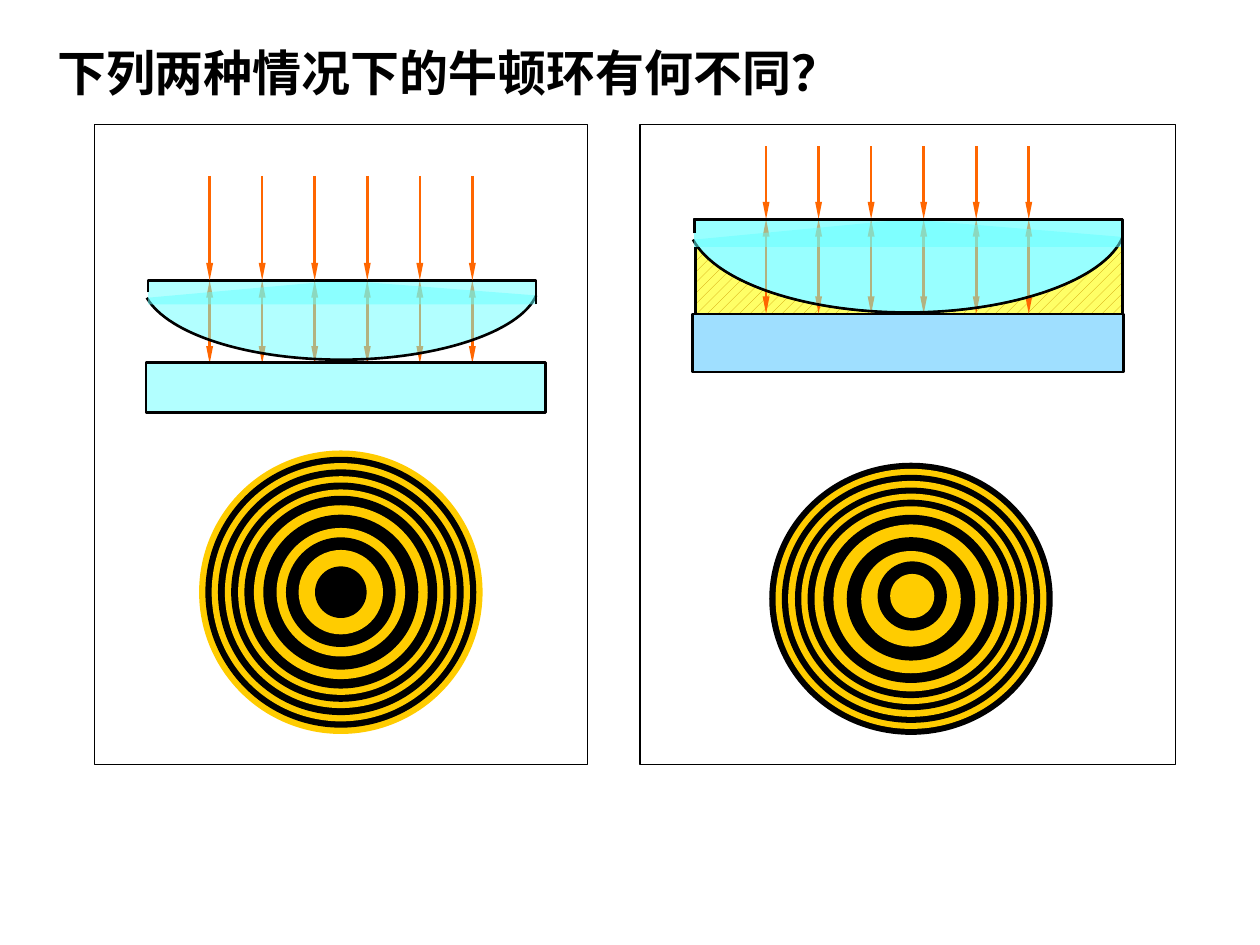
"""Builds a slide comparing Newton's rings with air and with liquid under the lens."""
from lxml import etree
from pptx import Presentation
from pptx import util as u
from pptx.dml import color
from pptx.enum import dml, shapes, text
from pptx.oxml import ns

COLORS = {
    "paper": "FFFFFF", "ink": "000000", "ray": "FF6600", "ring": "FFCC00",
    "glass": "66FFFF", "pale": "CCFFFF", "plate": "9FDFFF",
    "liquid": "FFFF66", "hatch": "CC9900",
}
LENS_CURVE = [(1, 0.19), (0.96, 0.65), (0.745, 1), (0.5, 1),
              (0.26, 1), (0.055, 0.68), (0, 0.22)]
LENS_TOP = (0.5, 0)
LENS_UNITS = 1000
RAY_COUNT = 6
RAY_GAP = 4.17


def add_command(outline, command, points):
    """Append one drawing command in lens units."""
    step = etree.SubElement(outline, ns.qn(f"a:{command}"))
    for x, y in points:
        etree.SubElement(step, ns.qn("a:pt"), x=str(round(x * LENS_UNITS)),
                         y=str(round(y * LENS_UNITS)))


class Board:
    """Holds the style and the current slide on a grid of 100 columns by 75 rows."""

    font = "Times New Roman"

    def __init__(self, deck):
        self.cell = deck.slide_width / 100
        self.slide = deck.slides.add_slide(deck.slide_layouts[6])
        self.canvas = self.slide.shapes

    def emu(self, *lengths):
        return [round(length * self.cell) for length in lengths]

    def rgb(self, name):
        return color.RGBColor.from_string(COLORS[name])

    def open_group(self):
        self.canvas = self.slide.shapes.add_group_shape().shapes

    def paint(self, shape, fill=None, width=0, alpha=None):
        shape.shadow.inherit = False
        if fill:
            shape.fill.solid()
            shape.fill.fore_color.rgb = self.rgb(fill)
            if alpha:
                tone = shape.fill._xPr.find(ns.qn("a:solidFill"))[0]
                etree.SubElement(tone, ns.qn("a:alpha"), val=str(alpha * 1000))
        else:
            shape.fill.background()
        if width:
            shape.line.color.rgb = self.rgb("ink")
            shape.line.width = u.Pt(width)
        else:
            shape.line.fill.background()
        return shape

    def box(self, left, top, width, height, fill, line=0, alpha=None):
        box = self.canvas.add_shape(shapes.MSO_SHAPE.RECTANGLE,
                                    *self.emu(left, top, width, height))
        return self.paint(box, fill, line, alpha)

    def liquid(self, left, top, width, height):
        layer = self.box(left, top, width, height, "liquid", 1.5)
        layer.fill.patterned()
        layer.fill.pattern = dml.MSO_PATTERN.PERCENT_20
        layer.fill.fore_color.rgb = self.rgb("hatch")
        layer.fill.back_color.rgb = self.rgb("liquid")

    def outline(self, points):
        start, *rest = [self.emu(*point) for point in points]
        builder = self.canvas.build_freeform(*start)
        builder.add_line_segments(rest, close=False)
        return builder.convert_to_shape()

    def bowl(self, left, top, width, height):
        corners = LENS_CURVE[::3] + [LENS_TOP]
        bowl = self.outline([(left + x * width, top + y * height) for x, y in corners])
        drawing = bowl._element.spPr.find(".//" + ns.qn("a:pathLst"))
        for old in list(drawing):
            drawing.remove(old)
        for switch_off in ("fill", "stroke"):
            value = "none" if switch_off == "fill" else "0"
            part = etree.SubElement(drawing, ns.qn("a:path"), w=str(LENS_UNITS),
                                    h=str(LENS_UNITS), **{switch_off: value})
            add_command(part, "moveTo", LENS_CURVE[:1])
            add_command(part, "cubicBezTo", LENS_CURVE[1:4])
            add_command(part, "cubicBezTo", LENS_CURVE[4:])
            if switch_off == "stroke":
                add_command(part, "lnTo", [LENS_TOP])
                add_command(part, "close", [])
        return bowl

    def lens(self, left, top, width, height, rim, fill, line, alpha=None, rim_fill=None):
        self.paint(self.bowl(left, top, width, height), fill, line, alpha)
        edge, right = left + 0.1, left + width
        self.box(edge, top, right - edge, rim, fill, alpha=alpha)
        rim_line = self.outline([(edge, top + rim / 2), (edge, top),
                                 (right, top), (right, top + rim)])
        self.paint(rim_line, rim_fill, line)

    def rays(self, left, top, bottom, ends):
        for number in range(RAY_COUNT):
            x = left + number * RAY_GAP
            ray = self.canvas.add_connector(shapes.MSO_CONNECTOR.STRAIGHT,
                                            *self.emu(x, top, x, bottom))
            ray.line.color.rgb = self.rgb("ray")
            ray.line.width = u.Pt(1.5)
            for end in ends:
                etree.SubElement(ray.line._get_or_add_ln(), ns.qn(f"a:{end}"),
                                 type="triangle", w="sm", len="lg")
            etree.SubElement(ray._element.spPr, ns.qn("a:effectLst"))

    def rings(self, x, y, widths, tones, flat=1):
        for number, width in enumerate(widths):
            height = width * flat
            ring = self.canvas.add_shape(
                shapes.MSO_SHAPE.OVAL,
                *self.emu(x - width / 2, y - height / 2, width, height))
            self.paint(ring, tones[number % 2])

    def title(self, words, left, top, width, height):
        frame = self.slide.shapes.add_textbox(
            *self.emu(left, top, width, height)).text_frame
        frame.word_wrap = True
        frame.auto_size = text.MSO_AUTO_SIZE.SHAPE_TO_FIT_TEXT
        frame.text = words
        font = frame.paragraphs[0].runs[0].font
        font.name, font.size, font.bold = self.font, u.Pt(28), True
        font.color.rgb = self.rgb("ink")


def main():
    deck = Presentation()
    deck.slide_width, deck.slide_height = u.Inches(10), u.Inches(7.5)
    board = Board(deck)
    both_ends = ("headEnd", "tailEnd")

    board.open_group()
    board.box(50.8, 9.9, 42.5, 50.8, "paper", 0.75)
    board.liquid(55.2, 19.1, 33.9, 9.2)
    liquid_lens = (55, 17.4, 34.1, 7.4, 2.2)
    board.lens(*liquid_lens, "pale", 1, rim_fill="pale")
    board.box(54.95, 24.93, 34.2, 4.6, "plate", 1.5)
    board.rays(60.8, 11.6, 17.4, ["tailEnd"])
    board.rays(60.8, 17.4, 24.9, both_ends)
    board.lens(*liquid_lens, "glass", 1.5, 50)

    board.open_group()
    board.box(7.5, 9.9, 39.15, 50.8, "paper", 0.75)
    board.rays(16.64, 22.25, 28.85, both_ends)
    board.box(11.6, 28.75, 31.7, 4, "glass", 1.5, 50)
    board.lens(11.65, 22.25, 30.9, 6.3, 1.9, "glass", 1.5, 50)
    board.rays(16.64, 13.95, 22.25, ["tailEnd"])

    board.title("下列两种情况下的牛顿环有何不同？", 3.55, 2.85, 77.2, 5.7)

    board.open_group()
    board.rings(27.05, 47, [22.5, 21.5, 20.5, 19.5, 18.4, 17.4, 16.3, 15.3,
                            13.8, 12.3, 10.2, 8.7, 6.7, 4.1], ("ring", "ink"))

    board.open_group()
    board.rings(72.3, 47.53, [22.5, 21.5, 20.5, 19.5, 18.4, 17.4, 16.4, 15.3,
                              13.9, 12.3, 10.2, 7.9], ("ink", "ring"), 0.96)
    board.rings(72.4, 47.3, [5.5, 3.5], ("ink", "ring"))

    deck.save("out.pptx")


if __name__ == "__main__":
    main()
